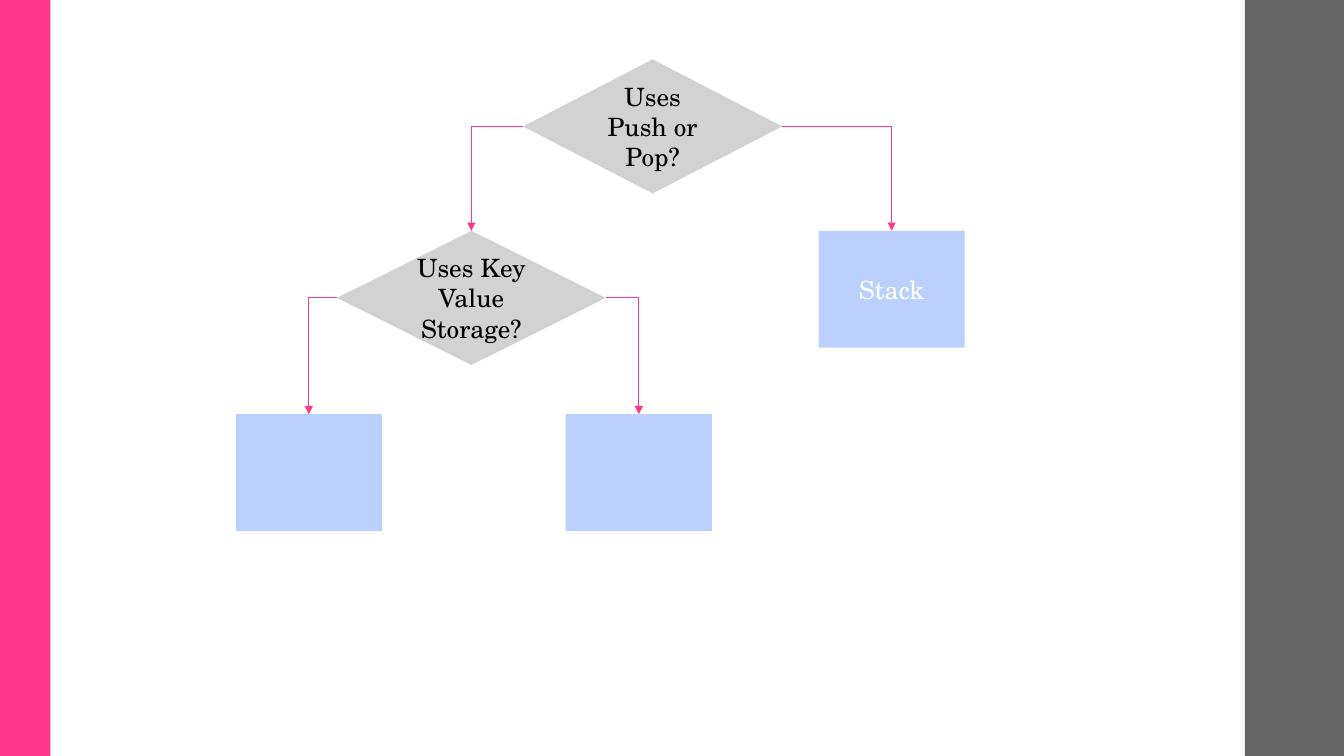
from lxml import etree
from pptx import Presentation
from pptx.dml.color import RGBColor
from pptx.enum import shapes, text
from pptx.oxml import ns
from pptx.util import Pt

COLORS = {
    "accent": "FF388C",
    "sidebar": "666666",
    "question": "D2D2D2",
    "answer": "BBD0FC",
    "dark": "000000",
    "light": "FFFFFF",
}
FONT = "TeX Gyre Schola"
WIDTH, HEIGHT = 960, 540
QUESTION_HEIGHT = 95.8
ANSWER_SIZE = (104.4, 83.5)
ROW_TOPS = (42.4, 164.9, 295.9)
# Connection sites shared by diamonds and rectangles
TOP, LEFT, RIGHT = 0, 1, 3


def rgb(name):
    return RGBColor.from_string(COLORS[name])


def add_block(slide, kind, left, top, width, height, fill):
    block = slide.shapes.add_shape(kind, Pt(left), Pt(top), Pt(width), Pt(height))
    block.shadow.inherit = False
    block.fill.solid()
    block.fill.fore_color.rgb = rgb(fill)
    block.line.fill.background()
    return block


def add_label(block, wording, color):
    frame = block.text_frame
    frame.word_wrap = True
    frame.vertical_anchor = text.MSO_ANCHOR.MIDDLE
    label = frame.paragraphs[0]
    label.text = wording
    label.alignment = text.PP_ALIGN.CENTER
    label.font.name = FONT
    label.font.size = Pt(18)
    label.font.color.rgb = rgb(color)


def add_question(slide, center, row, width, wording):
    question = add_block(slide, shapes.MSO_SHAPE.DIAMOND, center - width / 2,
                         ROW_TOPS[row], width, QUESTION_HEIGHT, "question")
    add_label(question, wording, "dark")
    return question


def add_answer(slide, center, row, wording=""):
    width, height = ANSWER_SIZE
    answer = add_block(slide, shapes.MSO_SHAPE.RECTANGLE, center - width / 2,
                       ROW_TOPS[row], width, height, "answer")
    if wording:
        add_label(answer, wording, "light")
    return answer


def add_branch(slide, question, side, target):
    """Arrow from a side corner of a question, across and down to its target."""
    branch = slide.shapes.add_connector(shapes.MSO_CONNECTOR.ELBOW, 0, 0, 0, 0)
    branch.begin_connect(question, side)
    branch.end_connect(target, TOP)
    branch.line.color.rgb = rgb("accent")
    branch.line.width = Pt(0.75)

    # One bend, arrowhead, no shadow
    properties = branch._element.spPr
    properties.find(ns.qn("a:prstGeom")).set("prst", "bentConnector2")
    outline = properties.find(ns.qn("a:ln"))
    etree.SubElement(outline, ns.qn("a:tailEnd"), type="triangle")
    etree.SubElement(properties, ns.qn("a:effectLst"))


def main():
    deck = Presentation()
    deck.slide_width, deck.slide_height = Pt(WIDTH), Pt(HEIGHT)
    slide = deck.slides.add_slide(deck.slide_layouts[6])

    # Side bars
    for left, width, fill in ((889.2, WIDTH - 889.2, "sidebar"), (0, 36, "accent")):
        add_block(slide, shapes.MSO_SHAPE.RECTANGLE, left, 0, width, HEIGHT, fill)

    # Questions and answers
    push_pop = add_question(slide, 466.2, 0, 185, "Uses Push or Pop?")
    key_value = add_question(slide, 336.7, 1, 192, "Uses Key Value Storage?")
    stack = add_answer(slide, 636.9, 1, "Stack")
    right_answer = add_answer(slide, 456.3, 2)
    left_answer = add_answer(slide, 220.6, 2)

    # Branches
    for question, side, target in (
        (push_pop, RIGHT, stack),
        (push_pop, LEFT, key_value),
        (key_value, RIGHT, right_answer),
        (key_value, LEFT, left_answer),
    ):
        add_branch(slide, question, side, target)

    deck.save("out.pptx")


if __name__ == "__main__":
    main()
